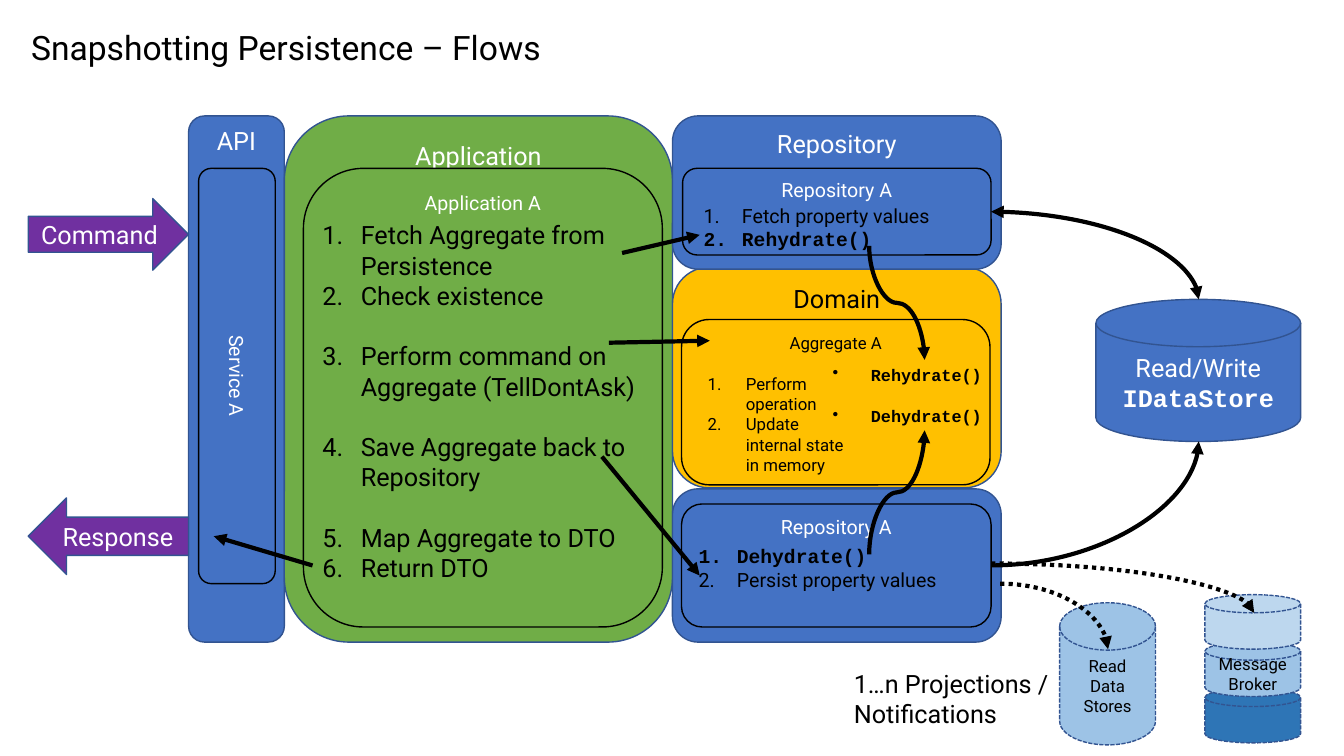
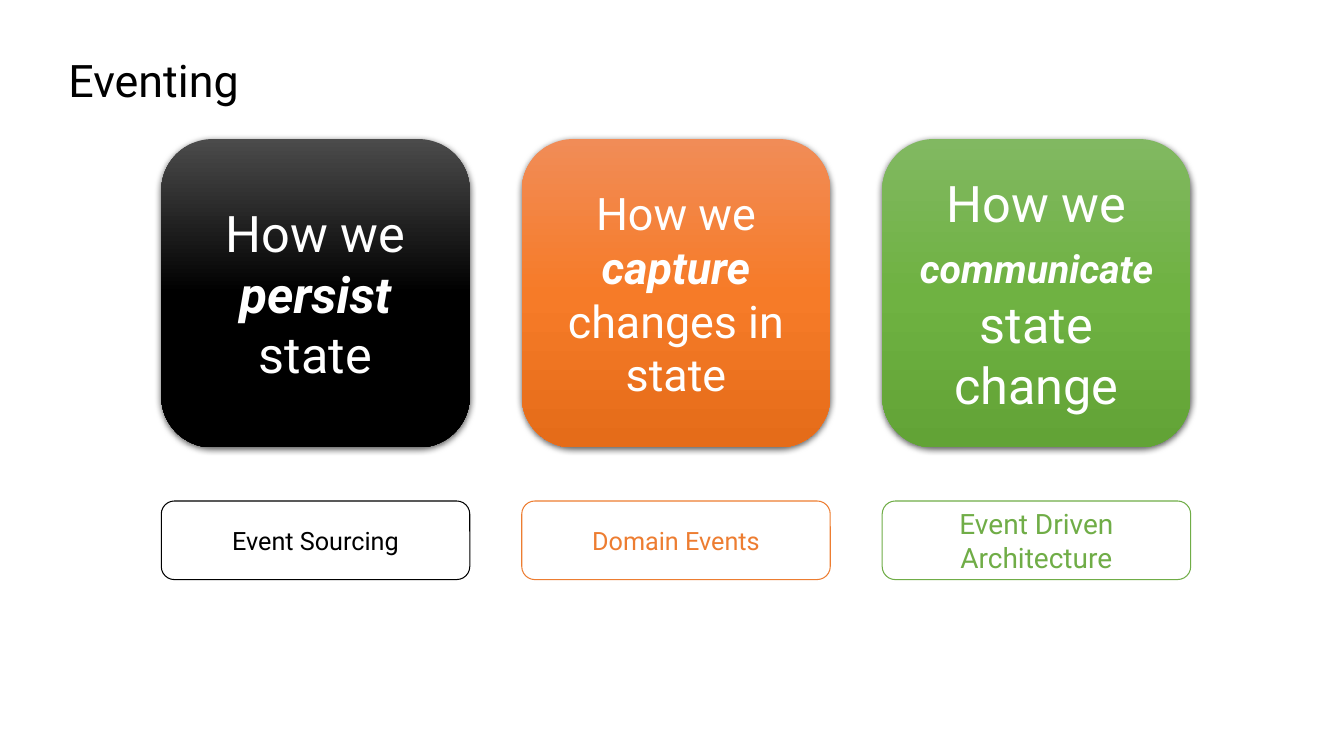
from lxml import etree
from pptx import Presentation
from pptx.dml.color import RGBColor
from pptx.enum.dml import MSO_LINE
from pptx.enum.shapes import MSO_CONNECTOR, MSO_SHAPE
from pptx.enum.text import MSO_ANCHOR, PP_ALIGN
from pptx.oxml.ns import qn
from pptx.util import Inches, Pt

ROUND = MSO_SHAPE.ROUNDED_RECTANGLE
DISK = MSO_SHAPE.FLOWCHART_MAGNETIC_DISK
RIGHT, LEFT = MSO_SHAPE.RIGHT_ARROW, MSO_SHAPE.LEFT_ARROW
STRAIGHT, CURVE = MSO_CONNECTOR.STRAIGHT, MSO_CONNECTOR.CURVE
DASH, DOT = MSO_LINE.SQUARE_DOT, MSO_LINE.ROUND_DOT
TOP, MIDDLE = MSO_ANCHOR.TOP, MSO_ANCHOR.MIDDLE
CENTER, START = PP_ALIGN.CENTER, PP_ALIGN.LEFT

BLACK, WHITE, NAVY = "000000", "FFFFFF", "325491"
BLUE, GREEN, GOLD, PURPLE = "4472C4", "70AD47", "FFC000", "7030A0"
ORANGE, SKY = "ED7D31", "9DC3E6"
FONT, MONO = "Roboto", "Courier New"
CODE = {"IDataStore", "Rehydrate()", "Dehydrate()"}
rgb = RGBColor.from_string


def box(slide, kind, at, words="", size=18, ink=BLACK, fill=None, edge=None,
        width=1, dash=None, align=CENTER, anchor=TOP, wrap=True,
        mark=None, gaps=()):
    """Add a shape, or a text box if kind is None; mark is "1." or a bullet.

    gaps maps a paragraph's index to the points of space before it."""
    at = [Inches(n) for n in at]
    add = slide.shapes
    shape = add.add_shape(kind, *at) if kind else add.add_textbox(*at)
    shape.shadow.inherit = False
    if fill:
        shape.fill.solid()
        shape.fill.fore_color.rgb = rgb(fill)
    else:
        shape.fill.background()
    if edge:
        shape.line.color.rgb = rgb(edge)
        shape.line.width = Pt(width)
        if dash:
            shape.line.dash_style = dash
    else:
        shape.line.fill.background()

    frame = shape.text_frame
    frame.word_wrap = wrap
    frame.vertical_anchor = anchor
    frame.text = words
    for i, para in enumerate(frame.paragraphs):
        para.alignment = align
        if mark:
            props = para._p.get_or_add_pPr()
            props.set("marL", str(Inches(0.38)))
            props.set("indent", str(Inches(-0.38)))
            if mark == "1.":
                etree.SubElement(props, qn("a:buAutoNum"), type="arabicPeriod")
            else:
                etree.SubElement(props, qn("a:buChar"), char=mark)
        if i in gaps:
            para.space_before = Pt(gaps[i])
        code = para.text in CODE
        para.font.name = MONO if code else FONT
        para.font.bold = code
        para.font.size = Pt(size)
        para.font.color.rgb = rgb(ink)
    return shape


def link(slide, x1, y1, x2, y2, form="line", dash=None, both=False):
    """Add an arrow: a "line", a quarter "bend" or an upright "wave"."""
    if form == "wave":
        # An upright S is a flat S turned by a quarter about its middle
        mx, my = (x1 + x2) / 2, (y1 + y2) / 2
        down = y2 > y1
        dx, dy = abs(y2 - y1) / 2, (x1 - mx) * (1 if down else -1)
        x1, y1, x2, y2 = mx + dx, my + dy, mx - dx, my - dy
    line = slide.shapes.add_connector(
        STRAIGHT if form == "line" else CURVE,
        Inches(x1), Inches(y1), Inches(x2), Inches(y2))
    props = line._element.spPr
    if form == "wave":
        props.find(qn("a:xfrm")).set("rot", "16200000" if down else "5400000")
    elif form == "bend":
        props.find(qn("a:prstGeom")).set("prst", "curvedConnector2")
    line.line.color.rgb = rgb(BLACK)
    line.line.width = Pt(3)
    if dash:
        line.line.dash_style = dash
    for end in ("a:headEnd", "a:tailEnd") if both else ("a:tailEnd",):
        etree.SubElement(props.find(qn("a:ln")), qn(end), type="triangle")
    etree.SubElement(props, qn("a:effectLst"))


deck = Presentation()
deck.slide_width, deck.slide_height = Inches(13.33), Inches(7.5)
blank = deck.slide_layouts[6]

# Slide 1: titles, layers and parts
flow = deck.slides.add_slide(blank)
box(flow, None, (0.21, 0.22, 5.32, 0.5), "Snapshotting Persistence – Flows",
    24, align=START, wrap=False)
box(flow, DISK, (10.87, 2.97, 2.03, 1.41), "Read/Write\nIDataStore",
    ink=WHITE, fill=BLUE, edge=NAVY, anchor=MIDDLE)

for at, name, size, ink, fill, edge in (
    ((1.87, 1.15, 0.95, 5.22), "API", 18, WHITE, BLUE, NAVY),
    ((2.82, 1.15, 3.85, 5.22), "Application", 18, WHITE, GREEN, NAVY),
    ((3.01, 1.67, 3.56, 4.55), "Application A", 14, WHITE, GREEN, BLACK),
    ((6.67, 2.65, 3.26, 2.19), "Domain", 18, BLACK, GOLD, NAVY),
    ((6.76, 3.17, 3.06, 1.64), "Aggregate A", 12, BLACK, GOLD, BLACK),
    ((6.67, 1.15, 3.26, 1.52), "Repository", 18, WHITE, BLUE, NAVY),
    ((6.77, 1.67, 3.06, 0.86), "Repository A", 14, WHITE, BLUE, BLACK),
    ((6.67, 4.85, 3.26, 1.52), "", 18, WHITE, BLUE, NAVY),
    ((6.76, 5, 3.07, 1.22), "Repository A", 14, WHITE, BLUE, BLACK),
):
    box(flow, ROUND, at, name, size, ink, fill, edge)
side = box(flow, ROUND, (1.97, 1.67, 0.76, 4.12), "Service A", 14, WHITE,
           BLUE, BLACK, anchor=MIDDLE)
side.text_frame._txBody.bodyPr.set("vert", "vert")

# Steps inside the parts
steps = """Fetch Aggregate from Persistence
Check existence
Perform command on Aggregate (TellDontAsk)
Save Aggregate back to Repository
Map Aggregate to DTO
Return DTO"""
for kind, at, words, size, wrap, mark, gaps in (
    (None, (3.1, 2.13, 3.39, 3.74), steps, 18, True, "1.",
     {2: 21.6, 3: 21.6, 4: 21.6}),
    (ROUND, (6.86, 3.6, 1.67, 1.23),
     "Perform operation\nUpdate internal state in memory", 12, True, "1.", {}),
    (ROUND, (6.85, 1.94, 2.51, 0.63),
     "Fetch property values\nRehydrate()", 14, False, "1.", {}),
    (ROUND, (6.8, 5.32, 2.63, 0.63),
     "Dehydrate()\nPersist property values", 14, False, "1.", {}),
    (None, (8.16, 3.57, 2.03, 0.71),
     "Rehydrate()\nDehydrate()", 12, True, "•", {1: 15}),
):
    box(flow, kind, at, words, size, align=START, wrap=wrap, mark=mark,
        gaps=gaps)

# Command and response
for kind, top, high, name in ((RIGHT, 1.97, 0.71, "Command"),
                              (LEFT, 4.94, 0.76, "Response")):
    box(flow, kind, (0.28, top, 1.59, high), name, ink=WHITE, fill=PURPLE,
        edge=NAVY, anchor=MIDDLE)

# Projections and notifications
for at, name, fill in (
    ((10.51, 5.98, 0.95, 1.41), "Read\nData Stores", SKY),
    ((11.95, 6.83, 0.95, 0.54), "", "2E75B6"),
    ((11.95, 6.37, 0.95, 0.54), "Message Broker", SKY),
    ((11.95, 5.9, 0.95, 0.54), "", "BDD7EE"),
):
    box(flow, DISK, at, name, 12, fill=fill, edge=NAVY, dash=DASH,
        anchor=MIDDLE)
box(flow, None, (8.37, 6.58, 2.15, 0.71), "1…n Projections /\nNotifications",
    align=START, wrap=False)

# Arrows
for ends in ((6.17, 2.51, 6.94, 2.33), (6.04, 3.4, 7.04, 3.38),
             (3.1, 5.61, 2.12, 5.32), (5.97, 4.53, 6.94, 5.71)):
    link(flow, *ends)
for ends in (8.62, 2.44, 9.17, 3.57), (8.62, 5.5, 9.17, 4.27):
    link(flow, *ends, form="wave")
link(flow, 9.83, 2.1, 11.89, 2.97, "bend", both=True)
link(flow, 9.83, 5.61, 11.89, 4.38, "bend")
for ends in (9.92, 5.79, 10.99, 6.44), (9.83, 5.59, 12.44, 6.08):
    link(flow, *ends, form="bend", dash=DOT)

# Slide 2: three tiles, each with a label below
event = deck.slides.add_slide(blank)
box(event, None, (0.58, 0.47, 1.92, 0.64), "Eventing", 32, align=START,
    wrap=False)
tiles = (
    (("4B4B4B", BLACK, BLACK), 36, "persist", 36, " state",
     "Event Sourcing", 18, BLACK),
    (("F18C57", "F67B28", "E56C19"), 32, "capture", 32, " changes in state",
     "Domain Events", 18, ORANGE),
    (("81B861", "6FB242", "62A336"), 36, "communicate", 28, " state change",
     "Event Driven Architecture", 20, GREEN),
)
for i, (tones, size, verb, big, rest, label, small, ink) in enumerate(tiles):
    x = 1.6 + i * 3.575
    tile = box(event, ROUND, (x, 1.38, 3.06, 3.06), anchor=MIDDLE)

    # Gradient from top to bottom
    tile.fill.gradient()
    tile.fill.gradient_angle = 270
    props = tile._element.spPr
    stops = props.find(".//" + qn("a:gsLst"))
    stops.clear()
    for pos, tone in zip((0, 50000, 100000), tones):
        stop = etree.SubElement(stops, qn("a:gs"), pos=str(pos))
        etree.SubElement(stop, qn("a:srgbClr"), val=tone)

    # Soft shadow below
    shade = etree.SubElement(
        props.find(qn("a:effectLst")), qn("a:outerShdw"),
        blurRad=str(Pt(4.5)), dist=str(Pt(1.5)), dir="5400000",
        algn="ctr", rotWithShape="0")
    tint = etree.SubElement(shade, qn("a:srgbClr"), val=BLACK)
    etree.SubElement(tint, qn("a:alpha"), val="63000")

    # Sentence with its verb picked out
    para = tile.text_frame.paragraphs[0]
    para.font.color.rgb = rgb(WHITE)
    for words, points in (("How we ", size), (verb, big), (rest, size)):
        run = para.add_run()
        run.text = words
        run.font.name = FONT
        run.font.size = Pt(points)
        run.font.color.rgb = rgb(WHITE)
        run.font.bold = run.font.italic = words == verb

    box(event, ROUND, (x, 4.97, 3.06, 0.78), label, small, ink, edge=ink,
        width=0.75, anchor=MIDDLE)

deck.save("out.pptx")
